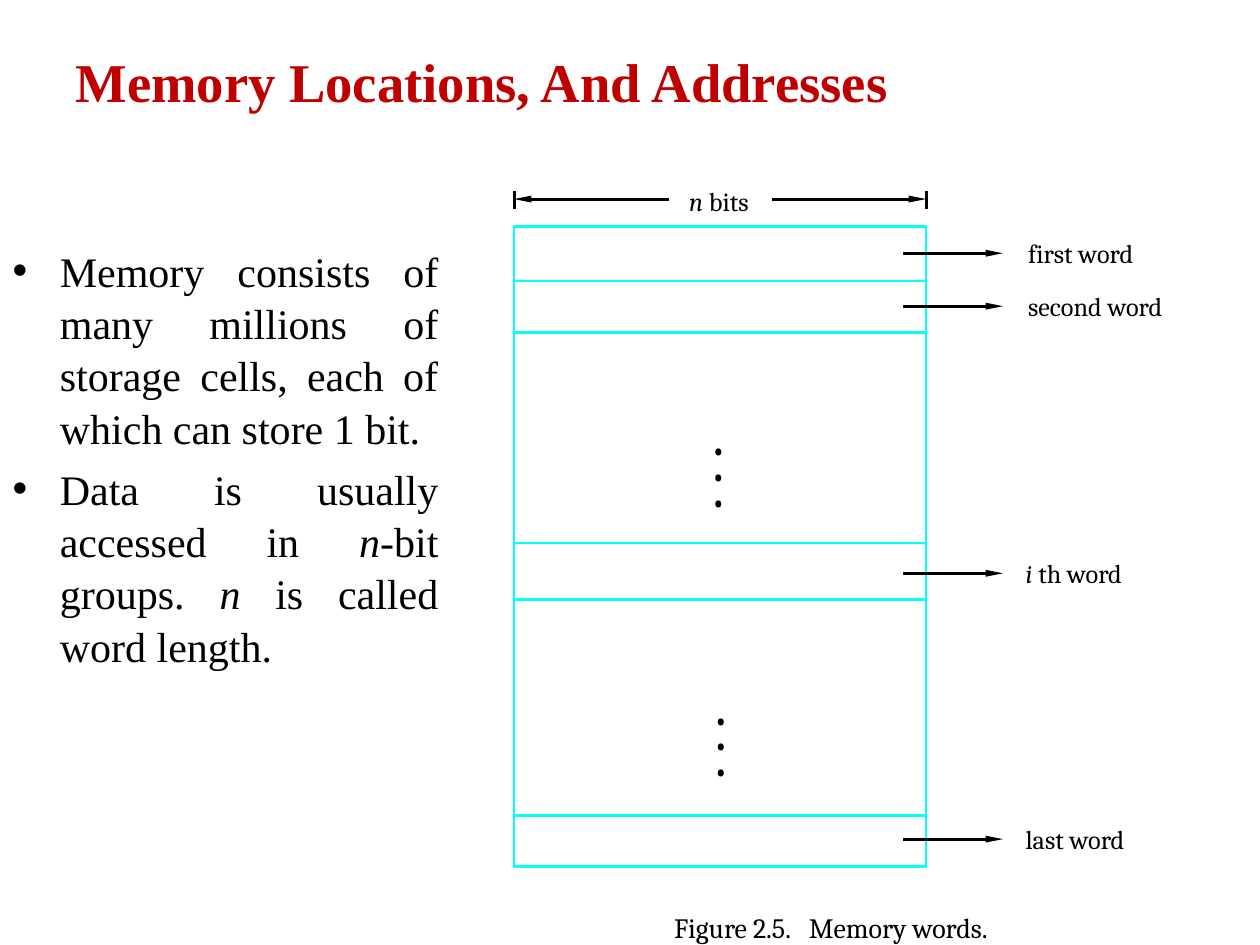
from lxml import etree
from pptx import Presentation
from pptx.dml.color import RGBColor
from pptx.enum.shapes import MSO_CONNECTOR, MSO_SHAPE
from pptx.enum.text import MSO_ANCHOR, MSO_AUTO_SIZE, PP_ALIGN
from pptx.oxml.ns import qn
from pptx.util import Inches, Pt

STRAIGHT = MSO_CONNECTOR.STRAIGHT
RECTANGLE = MSO_SHAPE.RECTANGLE
TOP = MSO_ANCHOR.TOP
NO_FIT = MSO_AUTO_SIZE.NONE
LEFT, JUSTIFY = PP_ALIGN.LEFT, PP_ALIGN.JUSTIFY

BLACK = RGBColor(0x00, 0x00, 0x00)
RED = RGBColor(0xC0, 0x00, 0x00)
CYAN = RGBColor(0x00, 0xFF, 0xFF)
SERIF, LABEL_FONT = "Times New Roman", "Cambria"
LINE_WIDTH = Pt(1.63)


def write(p, text, size=15, font=LABEL_FONT, color=BLACK, bold=False, align=LEFT):
    """Fill a paragraph; parts between asterisks become italic."""
    p.alignment = align
    for i, part in enumerate(text.split("*")):
        if part:
            r = p.add_run()
            r.text = part
            r.font.size, r.font.name = Pt(size), font
            r.font.color.rgb = color
            r.font.bold, r.font.italic = bold, i % 2 == 1


def place(sp, x, y, w, h):
    sp.left, sp.top, sp.width, sp.height = (Inches(v) for v in (x, y, w, h))
    tf = sp.text_frame
    tf.word_wrap, tf.auto_size, tf.vertical_anchor = True, NO_FIT, TOP
    return tf


def add_label(slide, x, y, w, h=0.25):
    tf = place(slide.shapes.add_textbox(0, 0, 0, 0), x, y, w, h)
    tf.margin_left = tf.margin_right = tf.margin_top = tf.margin_bottom = 0
    return tf


def add_line(slide, x1, y1, x2, y2, color=BLACK, arrow=False):
    s = slide.shapes.add_connector(
        STRAIGHT, Inches(x1), Inches(y1), Inches(x2), Inches(y2))
    s.line.color.rgb, s.line.width = color, LINE_WIDTH
    if arrow:
        etree.SubElement(s.line._get_or_add_ln(), qn("a:tailEnd"),
                         type="triangle", w="sm", len="lg")
    etree.SubElement(s._element.spPr, qn("a:effectLst"))


def add_title(slide, x, y, w, h):
    tf = place(slide.shapes.title, x, y, w, h)
    write(tf.paragraphs[0], "Memory Locations, And Addresses",
          size=31.2, font=SERIF, color=RED, bold=True)


def add_body(slide, x, y, w, h):
    tf = place(slide.placeholders[1], x, y, w, h)
    items = ["Memory consists of many millions of storage cells, "
             "each of which can store 1 bit.",
             "Data is usually accessed in *n*-bit groups. *n* is called word length."]
    for i, item in enumerate(items):
        p = tf.paragraphs[0] if i == 0 else tf.add_paragraph()
        pPr = p._p.get_or_add_pPr()
        pPr.set("marL", str(Inches(0.375)))
        pPr.set("indent", str(-Inches(0.375)))
        etree.SubElement(pPr, qn("a:buChar"), char="•")
        p.line_spacing = 1.04
        p.space_before = Pt(4.8 if i else 0)
        write(p, item, size=24, font=SERIF, align=JUSTIFY)


def add_dots(slide, x, y):
    tf = add_label(slide, x, y, 0.2, 0.62)
    for i in range(3):
        p = tf.paragraphs[0] if i == 0 else tf.add_paragraph()
        p.line_spacing = Pt(14.8)
        write(p, "•", size=20)


def add_memory(slide, x, y, w, h):
    right = x + w

    # Word boundaries and outline
    for dy in (0.43, 0.84, 2.51, 2.96, 4.67):
        add_line(slide, x, y + dy, right, y + dy, color=CYAN)
    s = slide.shapes.add_shape(RECTANGLE, Inches(x), Inches(y), Inches(w), Inches(h))
    s.shadow.inherit = False
    s.fill.background()
    s.line.color.rgb, s.line.width = CYAN, LINE_WIDTH

    # Word width dimension
    dim_y = y - 0.22
    for edge, inner in ((x, x + 1.23), (right, right - 1.22)):
        add_line(slide, edge, dim_y - 0.06, edge, dim_y + 0.08)
        add_line(slide, inner, dim_y, edge, dim_y, arrow=True)
    write(add_label(slide, x + 1.39, y - 0.33, 0.6).paragraphs[0], "*n* bits")

    # Word arrows and names
    words = [(0.21, 0.81, "first word"), (0.63, 0.81, "second word"),
             (2.75, 0.79, "*i* th word"), (4.86, 0.79, "last word")]
    for dy, gap, name in words:
        add_line(slide, right - 0.18, y + dy, right + 0.61, y + dy, arrow=True)
        tf = add_label(slide, right + gap, y + dy - 0.13, 1.3)
        write(tf.paragraphs[0], name)

    # Omitted words
    add_dots(slide, x + 1.56, y + 1.72)
    add_dots(slide, x + 1.58, y + 3.86)

    # Caption
    p = add_label(slide, x + 1.27, y + 5.43, 2.77, 0.27).paragraphs[0]
    tabs = etree.SubElement(p._p.get_or_add_pPr(), qn("a:tabLst"))
    etree.SubElement(tabs, qn("a:tab"), pos=str(Inches(1.07)), algn="l")
    write(p, "Figure 2.5.\tMemory words.", size=16)


def main():
    prs = Presentation()
    prs.slide_width, prs.slide_height = Inches(10), Inches(7.5)
    slide = prs.slides.add_slide(prs.slide_layouts[1])
    add_title(slide, 0.5, 0.33, 9, 1.25)
    add_body(slide, 0, 1.88, 3.58, 4.82)
    add_memory(slide, 4.08, 1.8, 3.27, 5.08)
    prs.save("out.pptx")


if __name__ == "__main__":
    main()
